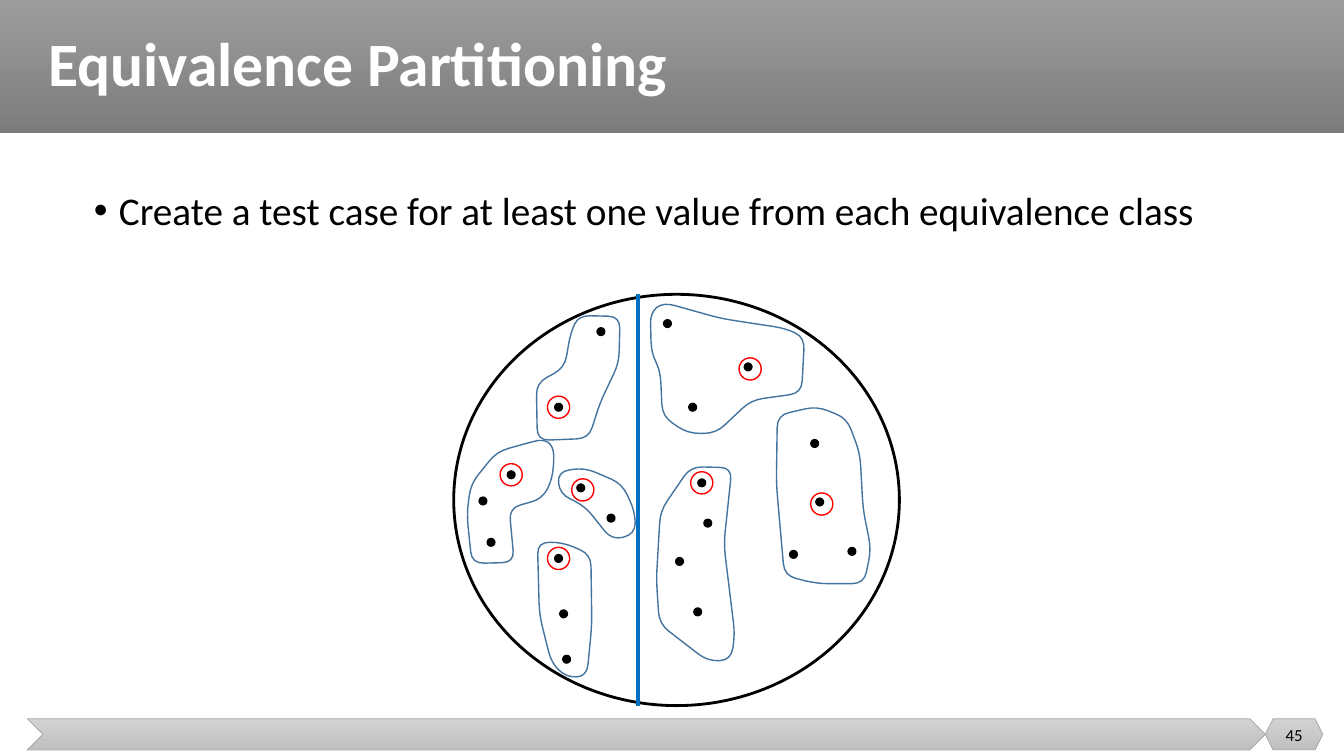
from dataclasses import dataclass
from math import dist

from lxml import etree
from pptx import Presentation
from pptx.dml.color import RGBColor
from pptx.enum.shapes import MSO_CONNECTOR, MSO_SHAPE
from pptx.enum.text import MSO_ANCHOR, MSO_AUTO_SIZE, PP_ALIGN
from pptx.oxml.ns import qn
from pptx.util import Inches, Pt

RECT, CHEVRON = MSO_SHAPE.RECTANGLE, MSO_SHAPE.CHEVRON
HEXAGON, OVAL = MSO_SHAPE.HEXAGON, MSO_SHAPE.OVAL
STRAIGHT = MSO_CONNECTOR.STRAIGHT
LEFT, CENTER = PP_ALIGN.LEFT, PP_ALIGN.CENTER
MIDDLE, TOP = MSO_ANCHOR.MIDDLE, MSO_ANCHOR.TOP
NO_FIT = MSO_AUTO_SIZE.NONE
DOT, RING = 0.08, 0.22
BEND, STEPS = 0.12, 4


@dataclass(frozen=True)
class Theme:
    font: str = "Calibri"
    title: int = 44
    body: int = 28
    page: int = 12
    black: str = "000000"
    white: str = "FFFFFF"
    edge: str = "A5A5A5"
    split: str = "0070C0"
    region: str = "43739E"
    chosen: str = "FF0000"
    head: tuple = ("9D9D9D", "7C7C7C")
    foot: tuple = ("D2D2D2", "C0C0C0")


THEME = Theme()


@dataclass(frozen=True)
class Bar:
    kind: int
    box: tuple
    shades: tuple
    edge: str | None = None


@dataclass(frozen=True)
class Spot:
    """A value; gap is how far its ring, if any, reaches out to the left and up."""
    x: float
    y: float
    gap: float | None = None


@dataclass(frozen=True)
class Region:
    """An equivalence class, outlined by corners that are rounded when drawn."""
    corners: tuple


BARS = (
    Bar(RECT, (0, 0, 13.33, 1.32), THEME.head),
    Bar(CHEVRON, (0.27, 7.13, 12.28, 0.31), THEME.foot, THEME.edge),
    Bar(HEXAGON, (12.55, 7.13, 0.57, 0.31), THEME.foot, THEME.edge),
)

SPOTS = (
    Spot(5.92, 3.25), Spot(5.5, 4, 0.07),
    Spot(5.03, 4.67, 0.07), Spot(4.75, 4.93), Spot(4.83, 5.34),
    Spot(5.72, 4.8, 0.05), Spot(6.02, 5.1),
    Spot(5.5, 5.5, 0.07), Spot(5.55, 6.05), Spot(5.58, 6.5),
    Spot(6.58, 3.17), Spot(7.38, 3.6, 0.05), Spot(6.83, 4),
    Spot(6.92, 4.75, 0.07), Spot(6.98, 5.15), Spot(6.7, 5.53), Spot(6.88, 6.03),
    Spot(8.04, 4.36), Spot(8.09, 4.94, 0.05), Spot(7.83, 5.46), Spot(8.41, 5.43),
)

REGIONS = (
    Region(((5.74, 3.13), (6.15, 3.14), (6.14, 3.6), (5.95, 4), (5.84, 4.35),
            (5.33, 4.37), (5.32, 3.8), (5.6, 3.65), (5.66, 3.3))),
    Region(((5.4, 4.35), (5.5, 4.45), (5.48, 4.75), (5.38, 4.95), (5.05, 5.04),
            (5.1, 5.58), (4.68, 5.59), (4.63, 5.1), (4.67, 4.8), (4.93, 4.48))),
    Region(((5.33, 5.38), (5.58, 5.38), (5.86, 5.5), (5.87, 6.2), (5.82, 6.71),
            (5.62, 6.72), (5.47, 6.58), (5.35, 6.1))),
    Region(((6.85, 4.63), (7.26, 4.64), (7.18, 5.4), (7.29, 6.3), (7.25, 6.55),
            (7.02, 6.56), (6.54, 6.19), (6.51, 5.75), (6.55, 5.07))),
    Region(((6.45, 3.1), (6.58, 3), (7.15, 3.16), (7.8, 3.26), (7.98, 3.35),
            (7.95, 3.9), (7.45, 3.97), (7.1, 4.3), (6.82, 4.3), (6.57, 4.13),
            (6.55, 3.68), (6.46, 3.5))),
    Region(((5.53, 4.68), (5.8, 4.64), (6.17, 4.8), (6.3, 5.08), (6.3, 5.3),
            (6.07, 5.36), (5.8, 5.02), (5.55, 4.9))),
    Region(((7.71, 4.12), (8.1, 4.03), (8.4, 4.15), (8.53, 4.5), (8.56, 5.05),
            (8.64, 5.45), (8.57, 5.79), (8.1, 5.79), (7.78, 5.71), (7.7, 4.8))),
)


def rgb(code: str) -> RGBColor:
    return RGBColor.from_string(code)


def set_line(item, color: str, width: float) -> None:
    item.line.color.rgb = rgb(color)
    item.line.width = Pt(width)


def add_bar(slide, bar: Bar) -> None:
    """Draws a shaded bar behind everything else."""
    shape = slide.shapes.add_shape(bar.kind, *map(Inches, bar.box))
    shape.shadow.inherit = False
    shape.fill.gradient()
    shape.fill.gradient_angle = 270
    for stop, shade in zip(shape.fill.gradient_stops, bar.shades):
        stop.color.rgb = rgb(shade)
    if bar.edge:
        set_line(shape, bar.edge, 0.5)
    else:
        shape.line.fill.background()
    slide.shapes._spTree.insert(2, shape._element)


def add_oval(slide, box: tuple, color: str, width: float, filled: bool = False) -> None:
    oval = slide.shapes.add_shape(OVAL, *map(Inches, box))
    oval.shadow.inherit = False
    if filled:
        oval.fill.solid()
        oval.fill.fore_color.rgb = rgb(color)
    else:
        oval.fill.background()
    set_line(oval, color, width)


def add_spot(slide, spot: Spot) -> None:
    add_oval(slide, (spot.x, spot.y, DOT, DOT), THEME.black, 0.75, True)
    if spot.gap is not None:
        box = (spot.x - spot.gap, spot.y - spot.gap, RING, RING)
        add_oval(slide, box, THEME.chosen, 1)


def blend(start: tuple, end: tuple, share: float) -> tuple:
    return tuple(a + (b - a) * share for a, b in zip(start, end))


def round_off(corners: tuple) -> list:
    """Turns each corner into a short curve that starts and ends on its sides."""
    points = []
    for i, corner in enumerate(corners):
        near = [blend(corner, other, min(0.5, BEND / dist(corner, other)))
                for other in (corners[i - 1], corners[(i + 1) % len(corners)])]
        for step in range(STEPS + 1):
            t = step / STEPS
            points.append(blend(blend(near[0], corner, t), blend(corner, near[1], t), t))
    return points


def add_region(slide, region: Region) -> None:
    start, *rest = [(Inches(x), Inches(y)) for x, y in round_off(region.corners)]
    pen = slide.shapes.build_freeform(*start)
    pen.add_line_segments(rest, close=True)
    shape = pen.convert_to_shape()
    shape.shadow.inherit = False
    shape.fill.background()
    set_line(shape, THEME.region, 1)


def add_split(slide) -> None:
    x = Inches(6.33)
    line = slide.shapes.add_connector(STRAIGHT, x, Inches(2.92), x, Inches(7))
    set_line(line, THEME.split, 3)
    etree.SubElement(line._element.spPr, qn("a:effectLst"))


def add_bullet(paragraph) -> None:
    props = paragraph._p.get_or_add_pPr()
    props.set("marL", str(Inches(0.25)))
    props.set("indent", str(Inches(-0.25)))
    etree.SubElement(props, qn("a:buChar")).set("char", "•")


def set_text(shape, box: tuple, text: str, size: int, color: str, align=LEFT,
             anchor=MIDDLE, bold: bool = False, bullet: bool = False) -> None:
    shape.left, shape.top, shape.width, shape.height = map(Inches, box)
    frame = shape.text_frame
    frame.text = text
    frame.word_wrap, frame.auto_size, frame.vertical_anchor = True, NO_FIT, anchor
    line = frame.paragraphs[0]
    if bullet:
        add_bullet(line)
    line.alignment, line.space_before, line.line_spacing = align, Pt(0), 0.9
    font = line.runs[0].font
    font.name, font.size, font.bold = THEME.font, Pt(size), bold
    font.color.rgb = rgb(color)


def main() -> None:
    deck = Presentation()
    deck.slide_width, deck.slide_height = Inches(13.33), Inches(7.5)
    slide = deck.slides.add_slide(deck.slide_layouts[1])
    for bar in BARS:
        add_bar(slide, bar)
    set_text(slide.shapes.title, (0.38, 0, 12.74, 1.32), "Equivalence Partitioning",
             THEME.title, THEME.white, bold=True)
    set_text(slide.placeholders[1], (0.83, 1.85, 11.68, 0.92),
             "Create a test case for at least one value from each equivalence class",
             THEME.body, THEME.black, anchor=TOP, bullet=True)
    add_oval(slide, (4.5, 2.92, 4.42, 4.08), THEME.black, 2)
    add_split(slide)
    for region in REGIONS:
        add_region(slide, region)
    for spot in SPOTS:
        add_spot(slide, spot)
    page = slide.shapes.add_textbox(0, 0, 0, 0)
    set_text(page, (12.55, 7.1, 0.57, 0.4), "45", THEME.page, THEME.black, CENTER)
    deck.save("out.pptx")


if __name__ == "__main__":
    main()
